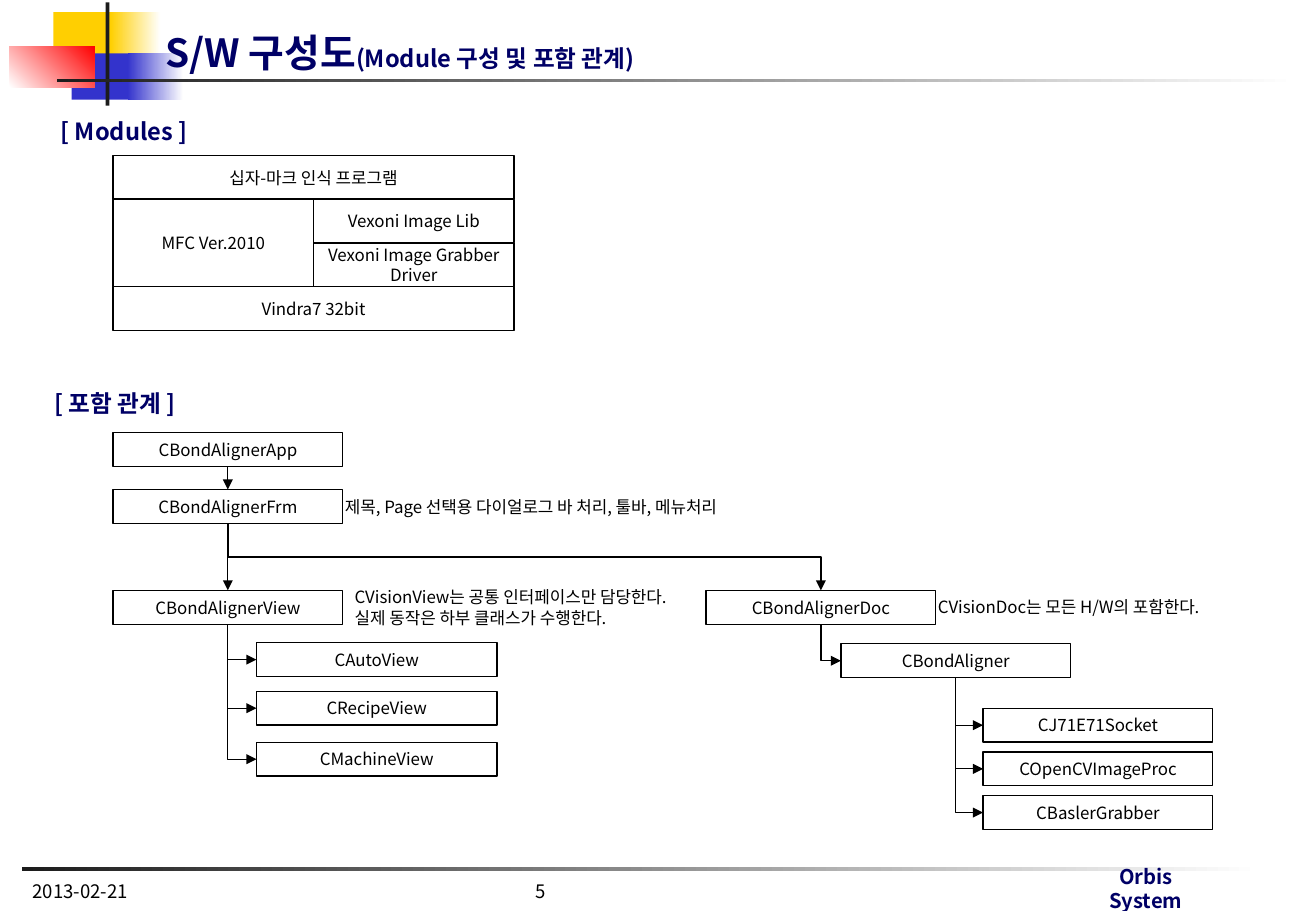
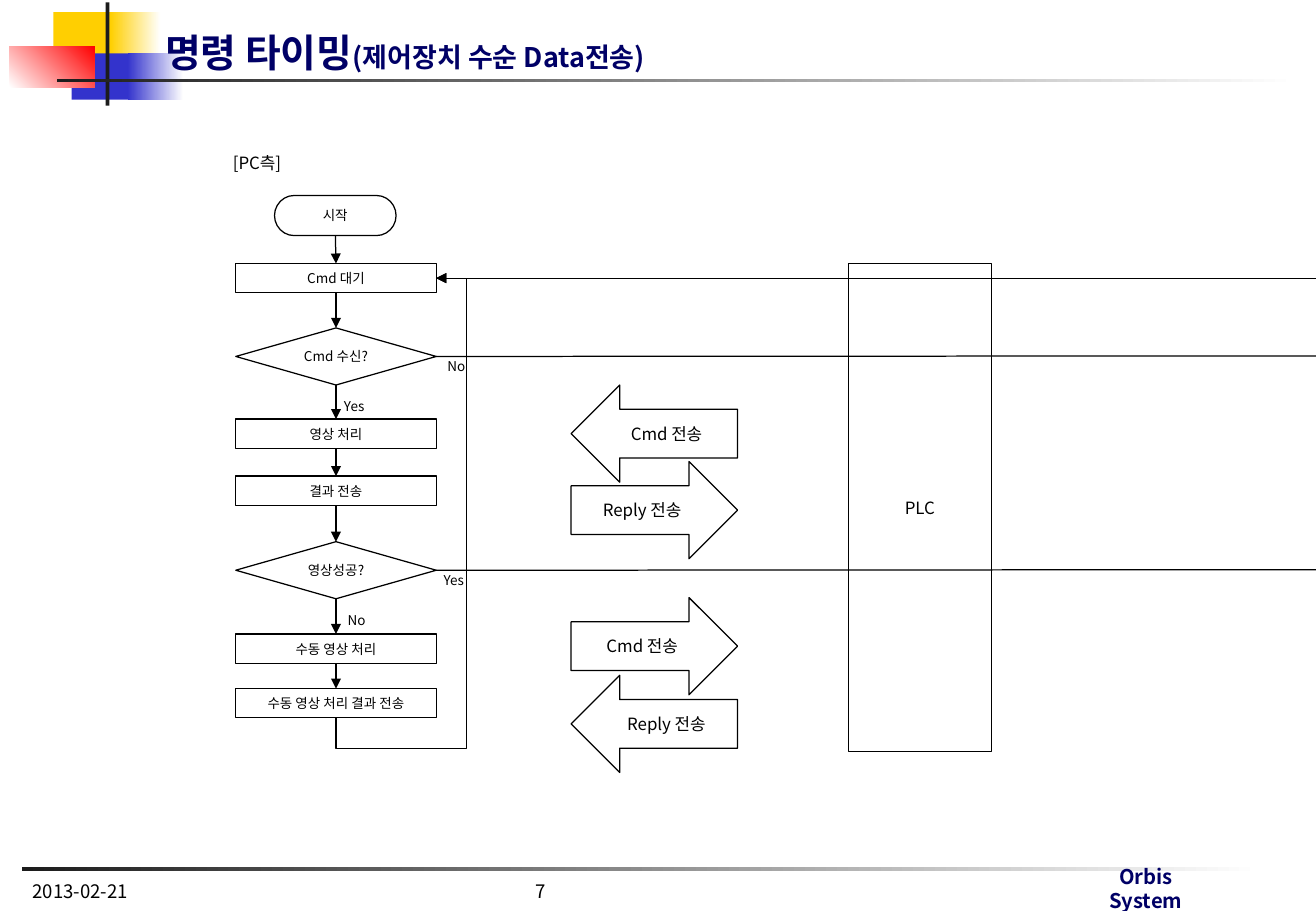
from dataclasses import dataclass
from itertools import pairwise
from typing import NamedTuple

from lxml.etree import SubElement
from pptx import Presentation
from pptx.dml.color import RGBColor
from pptx.enum.shapes import MSO_CONNECTOR as CXN, MSO_SHAPE as SHP
from pptx.enum.text import MSO_ANCHOR as ANCHOR, PP_ALIGN as ALIGN
from pptx.oxml.ns import qn
from pptx.util import Emu, Pt

TOP, LEFT, BOTTOM, RIGHT = range(4)
SLIDE_W, SLIDE_H = 1083, 750


@dataclass(frozen=True)
class Theme:
    font: str = "Noto Sans CJK KR"
    ink: str = "000000"
    navy: str = "000066"
    dark: str = "1C1C1C"
    white: str = "FFFFFF"
    yellow: str = "FFCF01"
    blue: str = "3333CC"
    red: str = "FF0000"
    title: int = 23
    heading: int = 14
    brand: int = 12
    footer: int = 11
    body: int = 10
    small: int = 8
    line: float = 0.75


THEME = Theme()


class Rect(NamedTuple):
    x: int
    y: int
    w: int
    h: int


class Style(NamedTuple):
    size: int = THEME.body
    color: str = THEME.ink
    bold: bool = False
    align: ALIGN = ALIGN.CENTER
    anchor: ANCHOR = ANCHOR.MIDDLE
    wrap: bool = True
    pitch: int | None = None  # exact line height in points


class Band(NamedTuple):
    rect: Rect
    start: str
    end: str | None = None
    angle: int = 0


class Node(NamedTuple):
    text: str
    rect: Rect
    kind: SHP = SHP.RECTANGLE
    style: Style = Style()


NOTE = Style(align=ALIGN.LEFT)
TWO_LINES = Style(pitch=12)
SMALL = Style(THEME.small)
TAG = Style(THEME.small, anchor=ANCHOR.TOP, wrap=False)
HEADING = Style(THEME.heading, THEME.navy, True, ALIGN.LEFT, ANCHOR.TOP)
FOOTER = Style(THEME.footer, align=ALIGN.LEFT, anchor=ANCHOR.BOTTOM)
TITLE = Style(THEME.title, THEME.navy, True, ALIGN.LEFT, ANCHOR.BOTTOM)
BRAND = Style(THEME.brand, THEME.navy, True, anchor=ANCHOR.TOP, pitch=14)

BANDS = [
    Band(Rect(18, 714, 1020, 3), THEME.dark, THEME.white),
    Band(Rect(44, 10, 55, 38), THEME.yellow),
    Band(Rect(91, 10, 41, 38), THEME.yellow, THEME.white),
    Band(Rect(59, 44, 52, 38), THEME.blue),
    Band(Rect(105, 44, 46, 38), THEME.blue, THEME.white),
    Band(Rect(8, 38, 70, 34), THEME.white, THEME.red, 45),
    Band(Rect(87, 2, 3, 85), THEME.dark),
    Band(Rect(47, 65, 1020, 3), THEME.dark, THEME.white),
]


def px(n: float) -> Emu:
    return Emu(round(n * 9144))


def rgb(color: str) -> RGBColor:
    return RGBColor.from_string(color)


def format_run(r, size: int, style: Style) -> None:
    r.font.size, r.font.bold, r.font.name = Pt(size), style.bold, THEME.font
    r.font.color.rgb = rgb(style.color)
    SubElement(r.font._element, qn("a:ea")).set("typeface", THEME.font)


def write(sp, text: str, style: Style) -> None:
    tf = sp.text_frame
    tf.text = text
    tf.word_wrap = style.wrap
    tf.vertical_anchor = style.anchor
    for p in tf.paragraphs:
        p.alignment = style.align
        if style.pitch:
            p.line_spacing = Pt(style.pitch)
        for r in p.runs:
            format_run(r, style.size, style)


def add_text(slide, text: str, rect: Rect, style: Style):
    sp = slide.shapes.add_textbox(*map(px, rect))
    write(sp, text, style)
    return sp


def add_node(slide, node: Node):
    sp = slide.shapes.add_shape(node.kind, *map(px, node.rect))
    sp.shadow.inherit = False
    sp.fill.background()
    sp.line.color.rgb = rgb(THEME.ink)
    sp.line.width = Pt(THEME.line)
    write(sp, node.text, node.style)
    return sp


def add_band(slide, band: Band) -> None:
    sp = slide.shapes.add_shape(SHP.RECTANGLE, *map(px, band.rect))
    sp.shadow.inherit = False
    sp.line.fill.background()
    if band.end is None:
        sp.fill.solid()
        sp.fill.fore_color.rgb = rgb(band.start)
        return
    sp.fill.gradient()
    sp.fill.gradient_angle = band.angle
    for stop, color in zip(sp.fill.gradient_stops, (band.start, band.end)):
        stop.color.rgb = rgb(color)


def add_line(slide, kind: CXN, start=(0, 0), end=(0, 0), arrow: bool = True):
    c = slide.shapes.add_connector(kind, *map(px, (*start, *end)))
    c.line.color.rgb = rgb(THEME.ink)
    c.line.width = Pt(THEME.line)
    if arrow:
        SubElement(c.line._ln, qn("a:tailEnd")).set("type", "triangle")
    SubElement(c._element.spPr, qn("a:effectLst"))
    return c


def join_down(slide, upper, lower) -> None:
    c = add_line(slide, CXN.STRAIGHT)
    c.begin_connect(upper, BOTTOM)
    c.end_connect(lower, TOP)


def join_elbow(slide, a, b, side: int, preset: str, turn: int = 270,
               flips: tuple[int, int] = (1, 0), adjust: tuple[int, ...] = ()) -> None:
    """Leave the bottom of a and reach a side of b; the frame is turned a quarter."""
    c = add_line(slide, CXN.ELBOW)
    c.begin_connect(a, BOTTOM)
    c.end_connect(b, side)
    x1, y1 = a.left + a.width // 2, a.top + a.height
    x2 = b.left + {TOP: b.width // 2, LEFT: 0, RIGHT: b.width}[side]
    y2 = b.top + (0 if side == TOP else b.height // 2)
    w, h = abs(y2 - y1), abs(x2 - x1)
    c.left, c.top = Emu((x1 + x2 - w) // 2), Emu((y1 + y2 - h) // 2)
    c.width, c.height = Emu(w), Emu(h)
    xfrm = c._element.spPr.find(qn("a:xfrm"))
    xfrm.set("rot", str(turn * 60000))
    for name, flip in zip(("flipH", "flipV"), flips):
        xfrm.set(name, str(flip))
    geom = c._element.spPr.find(qn("a:prstGeom"))
    geom.set("prst", preset)
    guides = geom.find(qn("a:avLst"))
    for i, value in enumerate(adjust, 1):
        gd = SubElement(guides, qn("a:gd"))
        gd.set("name", f"adj{i}")
        gd.set("fmla", f"val {value}")


def add_page(prs, title: str, subtitle: str, subtitle_size: int, number: int):
    slide = prs.slides.add_slide(prs.slide_layouts[6])
    for band in BANDS:
        add_band(slide, band)
    add_text(slide, "Orbis System", Rect(903, 712, 80, 38), BRAND).text_frame.margin_left = 0
    brand = slide.shapes[-1].text_frame
    brand.margin_right = brand.margin_top = brand.margin_bottom = 0
    for text, x in (("2013-02-21", 17), (str(number), 431)):
        add_text(slide, text, Rect(x, 729, 226, 19), FOOTER)
    sp = add_text(slide, title, Rect(126, 20, 926, 47), TITLE)
    r = sp.text_frame.paragraphs[0].add_run()
    r.text = subtitle
    format_run(r, subtitle_size, TITLE)
    return slide


def build_modules(prs) -> None:
    slide = add_page(prs, "S/W 구성도", "(Module 구성 및 포함 관계)", 14, 5)
    add_text(slide, "[ Modules ]", Rect(40, 91, 200, 34), HEADING)
    add_text(slide, "[ 포함 관계 ]", Rect(35, 315, 200, 34), HEADING)

    left, top, half, row = 93, 128, 165, 36
    for text, col, line, cols, lines in (
        ("십자-마크 인식 프로그램", 0, 0, 2, 1),
        ("MFC Ver.2010", 0, 1, 1, 2),
        ("Vexoni Image Lib", 1, 1, 1, 1),
        ("Vexoni Image Grabber Driver", 1, 2, 1, 1),
        ("Vindra7 32bit", 0, 3, 2, 1),
    ):
        rect = Rect(left + col * half, top + line * row, cols * half, lines * row)
        add_node(slide, Node(text, rect, style=TWO_LINES))

    def class_box(name: str, x: int, y: int, w: int = 189):
        return add_node(slide, Node(name, Rect(x, y, w, 28)))

    app, frame, view = (class_box("CBondAligner" + name, 93, y)
                        for name, y in (("App", 356), ("Frm", 403), ("View", 486)))
    doc = class_box("CBondAlignerDoc", 581, 486)
    aligner = class_box("CBondAligner", 692, 530)
    views = [class_box(name, 211, y, 198) for name, y in
             (("CAutoView", 529), ("CRecipeView", 569), ("CMachineView", 611))]
    devices = [class_box(name, 809, 583 + 36 * i) for i, name in
               enumerate(("CJ71E71Socket", "COpenCVImageProc", "CBaslerGrabber"))]

    for upper, lower in pairwise((app, frame, view)):
        join_down(slide, upper, lower)
    join_elbow(slide, frame, doc, TOP, "bentConnector3", adjust=(50000,))
    for parent, children in ((view, views), (doc, [aligner]), (aligner, devices)):
        for child in children:
            join_elbow(slide, parent, child, LEFT, "bentConnector2")

    add_text(slide, "제목, Page 선택용 다이얼로그 바 처리, 툴바, 메뉴처리",
             Rect(274, 404, 370, 27), NOTE)
    add_text(slide, "CVisionView는 공통 인터페이스만 담당한다.\n실제 동작은 하부 클래스가 수행한다.",
             Rect(282, 478, 307, 44), NOTE._replace(pitch=12))
    add_text(slide, "CVisionDoc는 모든 H/W의 포함한다.", Rect(762, 486, 291, 27), NOTE)


def build_timing(prs) -> None:
    slide = add_page(prs, "명령 타이밍", "(제어장치 수순 Data전송)", 16, 7)
    add_text(slide, "[PC측]", Rect(178, 121, 67, 27), TAG._replace(size=THEME.body))

    axis = 276
    sizes = {SHP.FLOWCHART_TERMINATOR: (100, 33), SHP.FLOWCHART_PROCESS: (165, 24),
             SHP.FLOWCHART_DECISION: (165, 47)}
    steps = []
    for text, y, kind in (
        ("시작", 161, SHP.FLOWCHART_TERMINATOR),
        ("Cmd 대기", 217, SHP.FLOWCHART_PROCESS),
        ("Cmd 수신?", 270, SHP.FLOWCHART_DECISION),
        ("영상 처리", 345, SHP.FLOWCHART_PROCESS),
        ("결과 전송", 392, SHP.FLOWCHART_PROCESS),
        ("영상성공?", 446, SHP.FLOWCHART_DECISION),
        ("수동 영상 처리", 522, SHP.FLOWCHART_PROCESS),
        ("수동 영상 처리 결과 전송", 567, SHP.FLOWCHART_PROCESS),
    ):
        w, h = sizes[kind]
        steps.append(add_node(slide, Node(text, Rect(axis - w // 2, y, w, h), kind, SMALL)))
    for upper, lower in pairwise(steps):
        join_down(slide, upper, lower)

    wait, received, success, last = steps[1], steps[2], steps[5], steps[-1]
    for decision, y in ((received, 293), (success, 469)):
        add_line(slide, CXN.STRAIGHT, (359, y), (SLIDE_W, y), False).begin_connect(decision, RIGHT)
    add_line(slide, CXN.STRAIGHT, (SLIDE_W, 229), (359, 229)).end_connect(wait, RIGHT)
    join_elbow(slide, last, wait, RIGHT, "bentConnector4", 90, (1, 1), (-6900, 130200))

    for text, x, y in (("Yes", 273, 323), ("No", 275, 499), ("No", 357, 290), ("Yes", 355, 466)):
        add_text(slide, text, Rect(x, y, 37, 24), TAG)
    for text, y, kind in (
        ("Cmd 전송", 317, SHP.LEFT_ARROW),
        ("Reply 전송", 380, SHP.RIGHT_ARROW),
        ("Cmd 전송", 492, SHP.RIGHT_ARROW),
        ("Reply 전송", 556, SHP.LEFT_ARROW),
    ):
        add_node(slide, Node(text, Rect(470, y, 137, 80), kind))
    add_node(slide, Node("PLC", Rect(698, 217, 118, 402)))


def main() -> None:
    prs = Presentation()
    prs.slide_width, prs.slide_height = px(SLIDE_W), px(SLIDE_H)
    build_modules(prs)
    build_timing(prs)
    prs.save("out.pptx")


if __name__ == "__main__":
    main()
